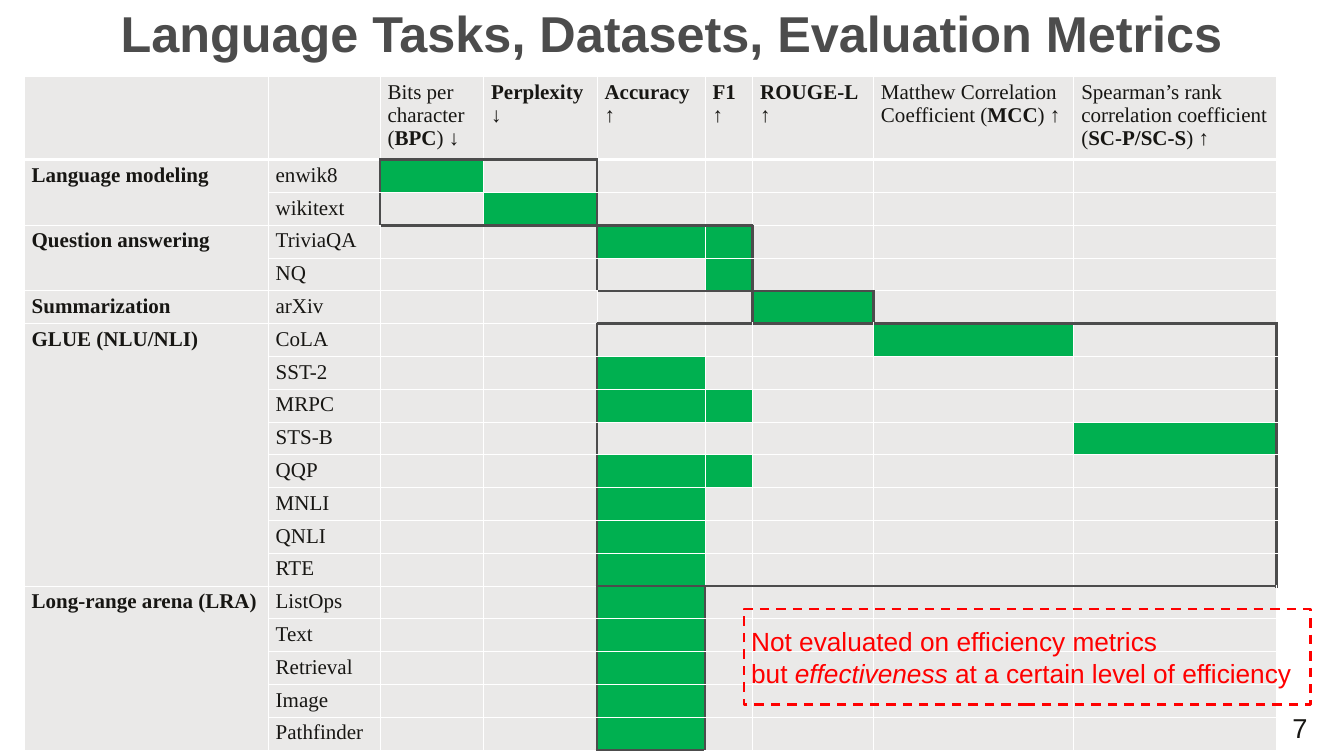
from lxml.etree import SubElement
from pptx import Presentation
from pptx.dml.color import RGBColor
from pptx.enum.dml import MSO_LINE
from pptx.enum.shapes import MSO_SHAPE
from pptx.enum.text import MSO_ANCHOR, PP_ALIGN
from pptx.oxml.ns import qn
from pptx.util import Cm, Pt

WHITE = RGBColor(0xFF, 0xFF, 0xFF)
GRAY = RGBColor(0xEA, 0xE9, 0xE8)
DARK = RGBColor(0x4C, 0x4C, 0x4C)
INK = RGBColor(0x17, 0x16, 0x13)
GREEN = RGBColor(0x00, 0xB0, 0x50)
RED = RGBColor(0xFF, 0x00, 0x00)

BPC, PPL, ACC, F1, ROUGE, MCC, SPEARMAN = range(2, 9)
METRICS = [
    [("Bits per character (", False), ("BPC", True), (") ↓", False)],
    [("Perplexity ", True), ("↓", False)],
    [("Accuracy ", True), ("↑", False)],
    [("F1 ", True), ("↑", False)],
    [("ROUGE-L ", True), ("↑", False)],
    [("Matthew Correlation Coefficient (", False), ("MCC", True), (") ↑", False)],
    [("Spearman’s rank correlation coefficient (", False), ("SC-P/SC-S", True),
     (") ↑", False)],
]
# Task, first and last metric column of its frame, metrics used by each dataset
TASKS = [
    ("Language modeling", BPC, PPL, [("enwik8", [BPC]), ("wikitext", [PPL])]),
    ("Question answering", ACC, F1, [("TriviaQA", [ACC, F1]), ("NQ", [F1])]),
    ("Summarization", ROUGE, ROUGE, [("arXiv", [ROUGE])]),
    ("GLUE (NLU/NLI)", ACC, SPEARMAN, [
        ("CoLA", [MCC]), ("SST-2", [ACC]), ("MRPC", [ACC, F1]),
        ("STS-B", [SPEARMAN]), ("QQP", [ACC, F1]), ("MNLI", [ACC]),
        ("QNLI", [ACC]), ("RTE", [ACC])]),
    ("Long-range arena (LRA)", ACC, ACC, [
        (name, [ACC])
        for name in ("ListOps", "Text", "Retrieval", "Image", "Pathfinder")]),
]
COLUMN_WIDTHS = [8.2, 3.76, 3.48, 3.81, 3.63, 1.6, 4.06, 6.73, 6.81]
HEADER_HEIGHT, ROW_HEIGHT = 2.57, 1.04


def add_run(paragraph, text, font_name, size, color, bold=False, italic=False):
    run = paragraph.add_run()
    run.text = text
    font = run.font
    font.name, font.size, font.bold, font.italic = font_name, Pt(size), bold, italic
    font.color.rgb = color


def set_border(cell, side, color, width):
    """Draw one side (L, R, T or B) of a cell; call before filling the cell."""
    line = SubElement(cell._tc.get_or_add_tcPr(), qn(f"a:ln{side}"), w=str(Pt(width)))
    SubElement(SubElement(line, qn("a:solidFill")), qn("a:srgbClr"), val=str(color))


presentation = Presentation()
presentation.slide_width, presentation.slide_height = Cm(45.16), Cm(25.4)
slide = presentation.slides.add_slide(presentation.slide_layouts[5])

title = slide.shapes.title
title.left, title.top, title.width, title.height = Cm(2.26), Cm(0.41), Cm(40.64), Cm(1.73)
title.text_frame.vertical_anchor = MSO_ANCHOR.MIDDLE
heading = title.text_frame.paragraphs[0]
heading.alignment = PP_ALIGN.CENTER
heading.line_spacing = 0.8
add_run(heading, "Language Tasks, Datasets, Evaluation Metrics", "Arial", 48, DARK, bold=True)

page_number = slide.shapes.add_textbox(Cm(41.99), Cm(23.93), Cm(2.36), Cm(1.02)).text_frame
page_number.word_wrap = True
page_number.vertical_anchor = MSO_ANCHOR.MIDDLE
page_number.margin_left = page_number.margin_right = Cm(0.41)
page_number.margin_top = page_number.margin_bottom = Cm(0.2)
page_number.paragraphs[0].alignment = PP_ALIGN.RIGHT
add_run(page_number.paragraphs[0], "7", "Arial", 26, INK)

# Place every text, used metric and dark frame edge on the grid
texts = {(0, BPC + i): runs for i, runs in enumerate(METRICS)}
used, dark_edges, task_spans = set(), set(), []
row = 1
for task, first, last, datasets in TASKS:
    bottom = row + len(datasets) - 1
    task_spans.append((row, bottom))
    texts[row, 0] = [(task, True)]
    for column in range(first, last + 1):
        dark_edges |= {(row, column, "T"), (row - 1, column, "B"),
                       (bottom, column, "B"), (bottom + 1, column, "T")}
    for r, (dataset, metrics) in enumerate(datasets, row):
        texts[r, 1] = [(dataset, False)]
        used |= {(r, column) for column in metrics}
        dark_edges |= {(r, first, "L"), (r, first - 1, "R"),
                       (r, last, "R"), (r, last + 1, "L")}
    row = bottom + 1

row_count, column_count = row, len(COLUMN_WIDTHS)
table = slide.shapes.add_table(
    row_count, column_count, Cm(0.81), Cm(2.57), Cm(sum(COLUMN_WIDTHS)),
    Cm(HEADER_HEIGHT + ROW_HEIGHT * (row_count - 1))).table
table.first_row = table.horz_banding = False
for column, width in zip(table.columns, COLUMN_WIDTHS):
    column.width = Cm(width)
for r, table_row in enumerate(table.rows):
    table_row.height = Cm(ROW_HEIGHT if r else HEADER_HEIGHT)
    for c, cell in enumerate(table_row.cells):
        for side in "LRTB":
            if (r, c, side) in dark_edges:
                set_border(cell, side, DARK, 3)
            else:
                set_border(cell, side, WHITE, 3 if (r, side) == (0, "B") else 1)
        cell.fill.solid()
        cell.fill.fore_color.rgb = GREEN if (r, c) in used else GRAY
        for text, bold in texts.get((r, c), []):
            add_run(cell.text_frame.paragraphs[0], text, "Times New Roman", 20, INK, bold)
for top, bottom in task_spans:
    if bottom > top:
        table.cell(top, 0).merge(table.cell(bottom, 0))

remark = slide.shapes.add_shape(MSO_SHAPE.RECTANGLE, Cm(24.99), Cm(20.47), Cm(19.05), Cm(3.2))
remark.shadow.inherit = False
remark.fill.background()
remark.line.color.rgb = RED
remark.line.width = Pt(2.25)
remark.line.dash_style = MSO_LINE.DASH
remark.text_frame.word_wrap = True
remark.text_frame.vertical_anchor = MSO_ANCHOR.MIDDLE
opening = remark.text_frame.paragraphs[0]
contrast = remark.text_frame.add_paragraph()
opening.alignment = contrast.alignment = PP_ALIGN.LEFT
add_run(opening, "Not evaluated on efficiency metrics", "Arial", 25, RED)
add_run(contrast, "but ", "Arial", 25, RED)
add_run(contrast, "effectiveness ", "Arial", 25, RED, italic=True)
add_run(contrast, "at a certain level of efficiency", "Arial", 25, RED)

presentation.save("out.pptx")
